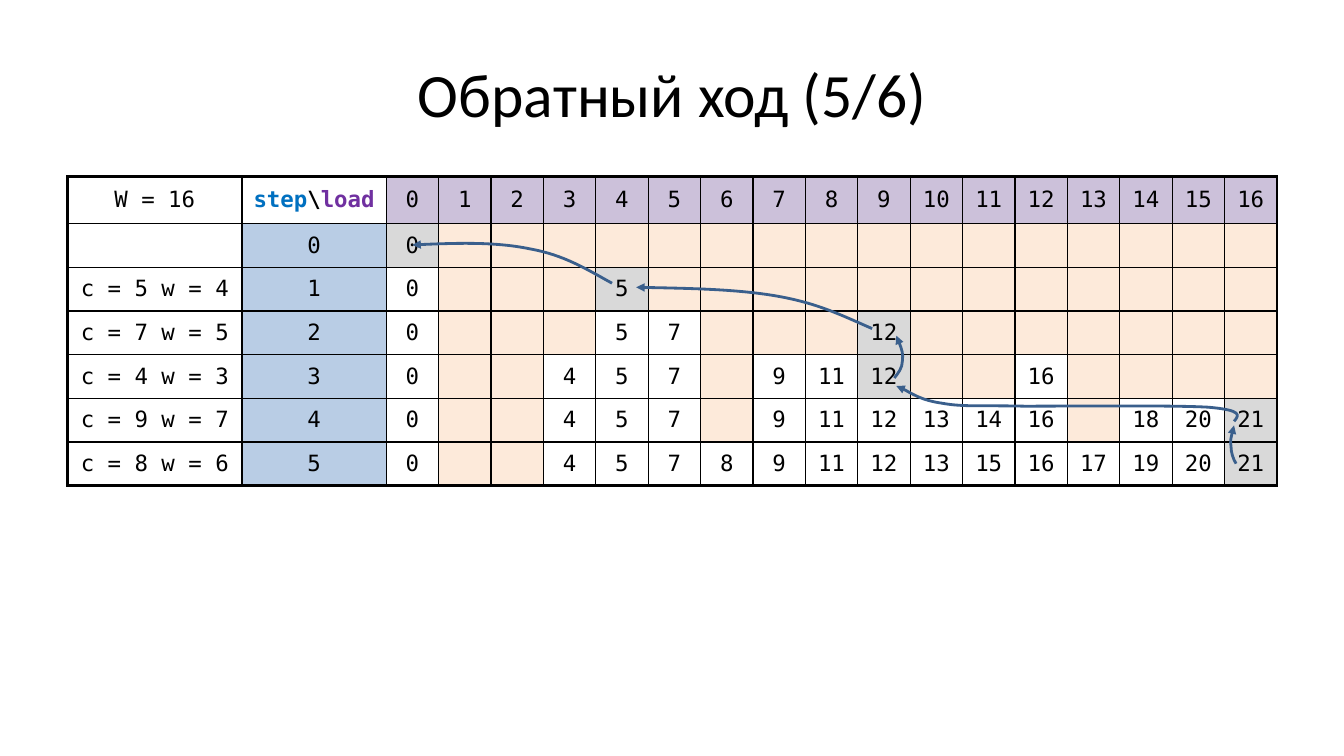
import dataclasses

import lxml.etree
import pptx
import pptx.dml.color
import pptx.enum.text
import pptx.oxml.ns
import pptx.util

Inches = pptx.util.Inches
qn = pptx.oxml.ns.qn


@dataclasses.dataclass(frozen=True)
class Theme:
    title_font: str = "Calibri"
    table_font: str = "DejaVu Sans Mono"
    title_size: float = 44
    table_size: float = 16
    thin: float = 1
    thick: float = 2.25
    arrow_width: float = 2
    ink: str = "000000"
    step: str = "0070C0"
    load: str = "7030A0"
    load_fill: str = "CCC1DA"
    step_fill: str = "B9CDE5"
    unreachable_fill: str = "FDEADA"
    route_fill: str = "D9D9D9"
    arrow: str = "3A5F8C"


CAPACITY = 16
# Item label and the best cost for each reachable load, one entry per step
STEPS = [
    ("", {0: 0}),
    ("c = 5 w = 4", {0: 0, 4: 5}),
    ("c = 7 w = 5", {0: 0, 4: 5, 5: 7, 9: 12}),
    ("c = 4 w = 3", {0: 0, 3: 4, 4: 5, 5: 7, 7: 9, 8: 11, 9: 12, 12: 16}),
    ("c = 9 w = 7", {0: 0, 3: 4, 4: 5, 5: 7, 7: 9, 8: 11, 9: 12, 10: 13,
                     11: 14, 12: 16, 14: 18, 15: 20, 16: 21}),
    ("c = 8 w = 6", {0: 0, 3: 4, 4: 5, 5: 7, 6: 8, 7: 9, 8: 11, 9: 12, 10: 13,
                     11: 15, 12: 16, 13: 17, 14: 19, 15: 20, 16: 21}),
]
ROUTE_LOADS = [0, 4, 9, 9, 16, 16]

# Each arrow: a start point, then three Bezier points per curve, in inches
ARROWS = [
    [(6.07, 2.81), (5.8, 2.66), (5.59, 2.53), (5.26, 2.47),
     (4.93, 2.4), (4.51, 2.41), (4.09, 2.43)],
    [(8.65, 3.26), (8.33, 3.12), (8.11, 3.01), (7.72, 2.94),
     (7.33, 2.87), (6.81, 2.86), (6.31, 2.85)],
    [(8.87, 3.75), (8.91, 3.7), (8.95, 3.65), (8.95, 3.58),
     (8.96, 3.51), (8.93, 3.42), (8.89, 3.33)],
    [(12.26, 4.6), (12.23, 4.55), (12.21, 4.49), (12.21, 4.43),
     (12.2, 4.37), (12.22, 4.3), (12.24, 4.22)],
    [(12.24, 4.18), (12.29, 4.12), (12.33, 4.07), (11.98, 4.04),
     (11.63, 4.02), (10.6, 4.03), (10.16, 4.03),
     (9.72, 4.02), (9.56, 4.04), (9.34, 4),
     (9.13, 3.97), (8.9, 3.82), (8.89, 3.83)],
]


class SlideBuilder:
    def __init__(self, page, theme):
        self.page = page
        self.theme = theme

    def add_spans(self, frame, spans, font, size, bold=False):
        """Fill a text frame with one centred line of (text, colour) spans."""
        para = frame.paragraphs[0]
        para.alignment = pptx.enum.text.PP_ALIGN.CENTER
        for text, colour in spans:
            span = para.add_run()
            span.text = text
            span.font.name = font
            span.font.size = pptx.util.Pt(size)
            span.font.bold = bold
            span.font.color.rgb = pptx.dml.color.RGBColor.from_string(colour)

    def title(self, text, left, top, width, height):
        box = self.page.shapes.title
        box.left, box.top = Inches(left), Inches(top)
        box.width, box.height = Inches(width), Inches(height)
        box.text_frame.vertical_anchor = pptx.enum.text.MSO_ANCHOR.MIDDLE
        self.add_spans(box.text_frame, [(text, self.theme.ink)],
                       self.theme.title_font, self.theme.title_size)

    def table(self, left, top, column_widths, row_heights):
        rows, columns = len(row_heights), len(column_widths)
        table = self.page.shapes.add_table(
            rows, columns, Inches(left), Inches(top),
            Inches(sum(column_widths)), Inches(sum(row_heights))).table
        table.first_row = table.horz_banding = False
        for column, width in zip(table.columns, column_widths):
            column.width = Inches(width)
        for row, height in zip(table.rows, row_heights):
            row.height = Inches(height)
        for r in range(rows):
            for c in range(columns):
                outer = {"L": c == 0, "R": c == columns - 1,
                         "T": r == 0, "B": r == rows - 1}
                self.borders(table.cell(r, c), outer)
        return table

    def borders(self, cell, outer):
        properties = cell._tc.get_or_add_tcPr()
        for side, is_outer in outer.items():
            width = self.theme.thick if is_outer else self.theme.thin
            line = lxml.etree.SubElement(properties, qn(f"a:ln{side}"),
                                         w=str(pptx.util.Pt(width)))
            fill = lxml.etree.SubElement(line, qn("a:solidFill"))
            lxml.etree.SubElement(fill, qn("a:srgbClr"), val=self.theme.ink)

    def cell(self, cell, spans=(), fill=None, bold=False):
        cell.vertical_anchor = pptx.enum.text.MSO_ANCHOR.MIDDLE
        if fill:
            cell.fill.solid()
            cell.fill.fore_color.rgb = pptx.dml.color.RGBColor.from_string(fill)
        else:
            cell.fill.background()
        self.add_spans(cell.text_frame, spans, self.theme.table_font,
                       self.theme.table_size, bold)

    def label(self, cell, text, fill=None):
        self.cell(cell, [(str(text), self.theme.ink)] if text != "" else (), fill)

    def curved_arrow(self, points):
        start, *rest = [(Inches(x), Inches(y)) for x, y in points]
        builder = self.page.shapes.build_freeform(*start)
        builder.add_line_segments(rest, close=False)
        shape = builder.convert_to_shape()
        shape.shadow.inherit = False
        shape.fill.background()
        shape.line.width = pptx.util.Pt(self.theme.arrow_width)
        shape.line.color.rgb = pptx.dml.color.RGBColor.from_string(self.theme.arrow)
        outline = shape.element.spPr.find(qn("a:ln"))
        lxml.etree.SubElement(outline, qn("a:tailEnd"), type="triangle")
        # Turn every three straight segments into one cubic curve
        segments = list(shape.element.iter(qn("a:lnTo")))
        for i in range(0, len(segments), 3):
            curve = lxml.etree.Element(qn("a:cubicBezTo"))
            segments[i].addprevious(curve)
            for segment in segments[i:i + 3]:
                curve.append(segment[0])
                segment.getparent().remove(segment)


def fill_cost_table(slide, table):
    theme = slide.theme
    slide.label(table.cell(0, 0), f"W = {CAPACITY}")
    slide.cell(table.cell(0, 1), [("step", theme.step), ("\\", theme.ink),
                                  ("load", theme.load)], bold=True)
    for load in range(CAPACITY + 1):
        slide.label(table.cell(0, load + 2), load, theme.load_fill)
    for step, (item, costs) in enumerate(STEPS):
        slide.label(table.cell(step + 1, 0), item)
        slide.label(table.cell(step + 1, 1), step, theme.step_fill)
        for load in range(CAPACITY + 1):
            fill = None if load in costs else theme.unreachable_fill
            if load == ROUTE_LOADS[step]:
                fill = theme.route_fill
            slide.label(table.cell(step + 1, load + 2), costs.get(load, ""), fill)


def main():
    deck = pptx.Presentation()
    deck.slide_width, deck.slide_height = Inches(13.33), Inches(7.5)
    page = deck.slides.add_slide(deck.slide_layouts[5])
    slide = SlideBuilder(page, Theme())
    slide.title("Обратный ход (5/6)", 0.67, 0.3, 12, 1.25)
    header_height, table_height = 0.47, 3.07
    step_height = (table_height - header_height) / len(STEPS)
    table = slide.table(0.67, 1.75, [1.73, 1.43] + [0.52] * (CAPACITY + 1),
                        [header_height] + [step_height] * len(STEPS))
    fill_cost_table(slide, table)
    for points in ARROWS:
        slide.curved_arrow(points)
    deck.save("out.pptx")


if __name__ == "__main__":
    main()
